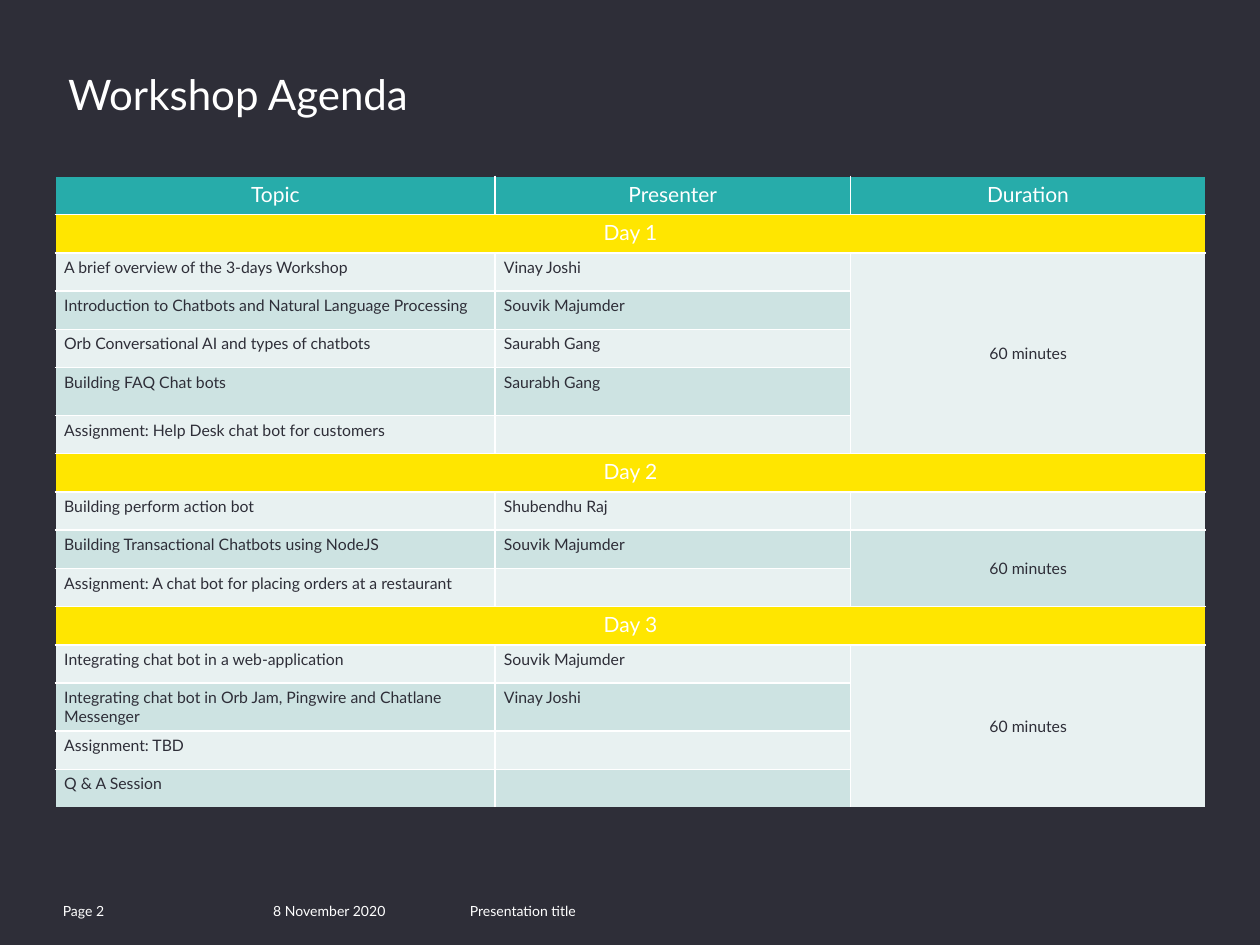
"""Build the workshop agenda slide with its three-day table."""
from lxml.etree import SubElement
from pptx import Presentation
from pptx.dml.color import RGBColor
from pptx.enum.text import MSO_ANCHOR as Anchor, PP_ALIGN as Align
from pptx.oxml.ns import qn
from pptx.util import Inches, Pt

FONT = "Lato"
DARK, WHITE, TEAL, YELLOW = "2E2E38", "FFFFFF", "27ACAA", "FFE600"
BANDS = ("E8F1F1", "CDE3E2")

TITLE = "Workshop Agenda"
FOOTERS = [
    ("8 November 2020", 2.07, 1.3),
    ("Presentation title", 3.63, 3.38),
    ("Page 2", 0.4, 0.73),
]
HEADER = ("Topic", "Presenter", "Duration")
DAYS = [
    ("Day 1", [
        ("A brief overview of the 3-days Workshop", "Vinay Joshi"),
        ("Introduction to Chatbots and Natural Language Processing", "Souvik Majumder"),
        ("Orb Conversational AI and types of chatbots", "Saurabh Gang"),
        ("Building FAQ Chat bots", "Saurabh Gang"),
        ("Assignment: Help Desk chat bot for customers", ""),
    ], [("60 minutes", 5)]),
    ("Day 2", [
        ("Building perform action bot", "Shubendhu Raj"),
        ("Building Transactional Chatbots using NodeJS", "Souvik Majumder"),
        ("Assignment: A chat bot for placing orders at a restaurant", ""),
    ], [("", 1), ("60 minutes", 2)]),
    ("Day 3", [
        ("Integrating chat bot in a web-application", "Souvik Majumder"),
        ("Integrating chat bot in Orb Jam, Pingwire and Chatlane Messenger", "Vinay Joshi"),
        ("Assignment: TBD", ""),
        ("Q & A Session", ""),
    ], [("60 minutes", 4)]),
]
TABLE_LEFT, TABLE_TOP, TABLE_HEIGHT = 0.44, 1.4, 5.01
COLUMN_WIDTHS = (3.49, 2.82, 2.82)
TALL_ROWS, TALL_HEIGHT = (5, 13), 0.38
ROW_COUNT = 1 + sum(1 + len(sessions) for _, sessions, _ in DAYS)
ROW_HEIGHT = (TABLE_HEIGHT - len(TALL_ROWS) * TALL_HEIGHT) / (ROW_COUNT - len(TALL_ROWS))


def rgb(color):
    return RGBColor.from_string(color)


def write(text_frame, text, size, color, align=Align.LEFT):
    text_frame.text = text
    paragraph = text_frame.paragraphs[0]
    paragraph.alignment = align
    for run in paragraph.runs:
        run.font.name = FONT
        run.font.size = Pt(size)
        run.font.color.rgb = rgb(color)
    if not text:
        SubElement(paragraph._p, qn("a:endParaRPr"), sz=str(size * 100))


def draw_borders(cell, row, column):
    outer = {
        "a:lnL": column == 0,
        "a:lnR": column + cell.span_width == len(COLUMN_WIDTHS),
        "a:lnT": row == 0,
        "a:lnB": row + cell.span_height == ROW_COUNT,
    }
    properties = cell._tc.get_or_add_tcPr()
    for tag, at_edge in outer.items():
        line = SubElement(properties, qn(tag), w=str(Pt(1)))
        fill = SubElement(line, qn("a:solidFill"))
        SubElement(fill, qn("a:srgbClr"), val=DARK if at_edge else WHITE)


def fill_cell(cell, text, fill, size=9, color=DARK, align=Align.LEFT):
    write(cell.text_frame, text, size, color, align)
    cell.margin_left = cell.margin_right = Inches(0.07)
    cell.margin_top = cell.margin_bottom = Inches(0.04)
    cell.fill.solid()
    cell.fill.fore_color.rgb = rgb(fill)


def fill_day(table, top, day, sessions, durations):
    """Fill one day's heading, sessions and durations; return the next free row."""
    last = len(COLUMN_WIDTHS) - 1
    for column in range(last + 1):
        fill_cell(table.cell(top, column), "" if column else day, YELLOW, 12, WHITE, Align.CENTER)
    table.cell(top, 0).merge(table.cell(top, last))

    first = top + 1
    for index, session in enumerate(sessions):
        for column, text in enumerate((*session, "")):
            fill_cell(table.cell(first + index, column), text, BANDS[index % 2])

    offset = 0
    for text, span in durations:
        cell = table.cell(first + offset, last)
        if span > 1:
            cell.merge(table.cell(first + offset + span - 1, last))
        if text:
            write(cell.text_frame, text, 9, DARK, Align.CENTER)
        cell.vertical_anchor = Anchor.MIDDLE
        offset += span
    return first + len(sessions)


def add_agenda(slide):
    table = slide.shapes.add_table(
        ROW_COUNT, len(COLUMN_WIDTHS), Inches(TABLE_LEFT), Inches(TABLE_TOP),
        Inches(sum(COLUMN_WIDTHS)), Inches(TABLE_HEIGHT)).table
    for column, width in zip(table.columns, COLUMN_WIDTHS):
        column.width = Inches(width)
    for index, row in enumerate(table.rows):
        row.height = Inches(TALL_HEIGHT if index in TALL_ROWS else ROW_HEIGHT)

    for column, text in enumerate(HEADER):
        fill_cell(table.cell(0, column), text, TEAL, 12, WHITE, Align.CENTER)
    top = 1
    for day, sessions, durations in DAYS:
        top = fill_day(table, top, day, sessions, durations)

    for row in range(ROW_COUNT):
        for column in range(len(COLUMN_WIDTHS)):
            cell = table.cell(row, column)
            fill = cell.fill.fore_color.rgb
            cell.fill.background()
            properties = cell._tc.get_or_add_tcPr()
            properties.remove(properties.find(qn("a:noFill")))
            draw_borders(cell, row, column)
            cell.fill.solid()
            cell.fill.fore_color.rgb = fill


def main():
    presentation = Presentation()
    presentation.slide_width, presentation.slide_height = Inches(10), Inches(7.5)
    slide = presentation.slides.add_slide(presentation.slide_layouts[5])
    slide.background.fill.solid()
    slide.background.fill.fore_color.rgb = rgb(DARK)

    for text, left, width in FOOTERS:
        box = slide.shapes.add_textbox(Inches(left), Inches(7.13), Inches(width), Inches(0.2))
        box.text_frame.word_wrap = True
        box.text_frame.vertical_anchor = Anchor.MIDDLE
        write(box.text_frame, text, 8, WHITE)

    add_agenda(slide)

    title = slide.shapes.title
    title.left, title.top = Inches(0.44), Inches(0.49)
    title.width, title.height = Inches(2.94), Inches(0.5)
    title.text_frame.word_wrap = False
    title.text_frame.vertical_anchor = Anchor.MIDDLE
    write(title.text_frame, TITLE, 24, WHITE)

    presentation.save("out.pptx")


if __name__ == "__main__":
    main()
